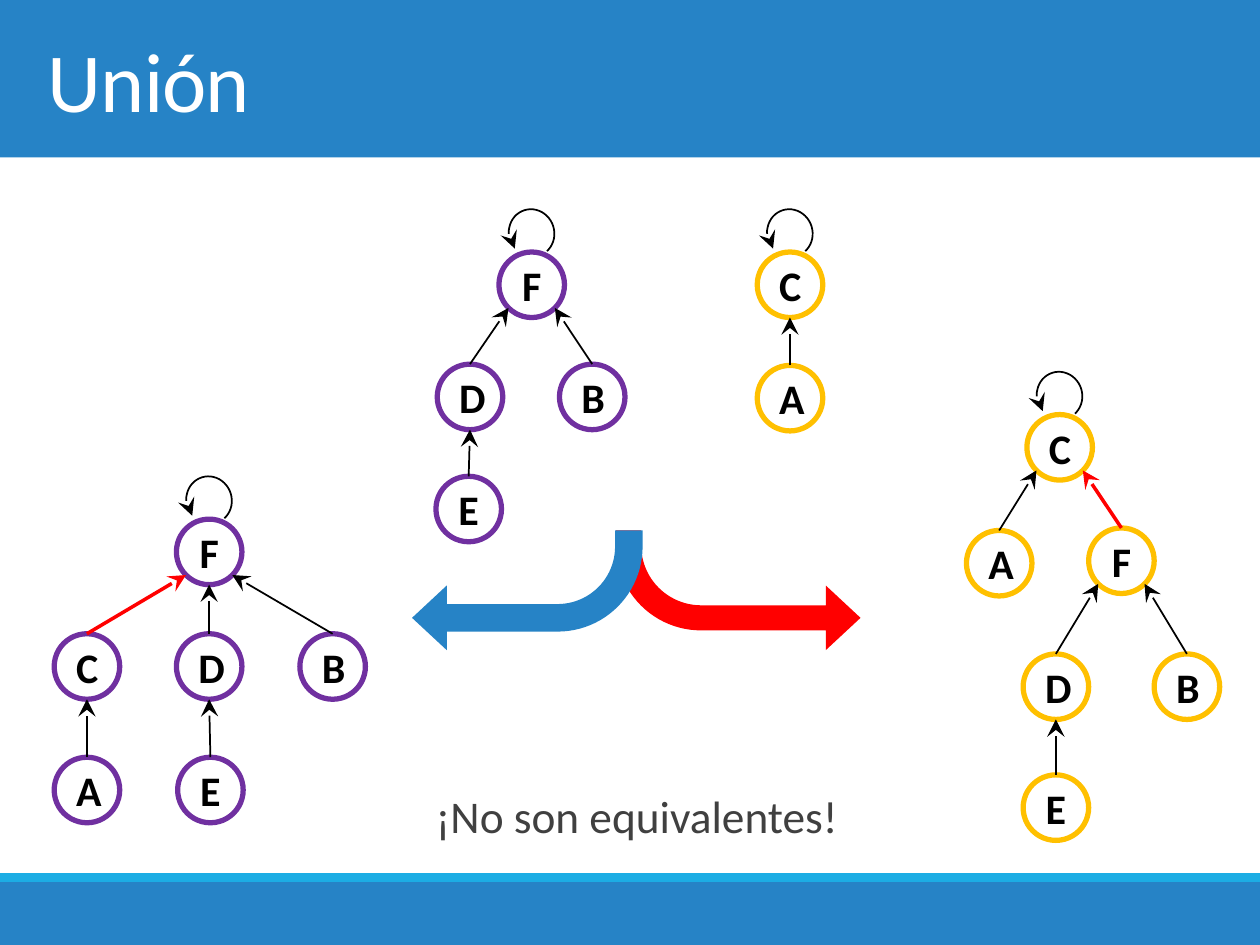
from math import sqrt

from lxml.etree import SubElement
from pptx import Presentation
from pptx.dml.color import RGBColor as RGB
from pptx.enum.shapes import MSO_CONNECTOR as LINE, MSO_SHAPE as SHAPE
from pptx.enum.text import MSO_ANCHOR as ANCHOR, PP_ALIGN as ALIGN
from pptx.oxml.ns import qn
from pptx.util import Inches, Pt

COLORS = {
    "blue": "2683C6", "cyan": "1CADE4", "purple": "7030A0", "gold": "FFC000",
    "red": "FF0000", "black": "000000", "white": "FFFFFF", "gray": "404040",
}
FORMATS = {
    "title": {"name": "Calibri", "size": Pt(48), "bold": False},
    "node": {"name": "Calibri", "size": Pt(24), "bold": True},
    "note": {"name": "Calibri", "size": Pt(25.9), "bold": False},
}
COLS, ROWS = 100, 75
NODE = 5.2
TREES = [
    ("purple", {
        "F": (16.6, 43.8, None), "C": (6.9, 52.9, "F"), "D": (16.6, 52.9, "F"),
        "B": (26.4, 52.9, "F"), "A": (6.9, 62.7, "C"), "E": (16.7, 62.7, "D"),
    }, "C"),
    ("purple", {
        "F": (42.2, 22.6, None), "D": (37.3, 31.5, "F"),
        "B": (47, 31.5, "F"), "E": (37.2, 40.4, "D"),
    }, None),
    ("gold", {"C": (62.7, 22.6, None), "A": (62.7, 31.6, "C")}, None),
    ("gold", {
        "C": (84.1, 35.5, None), "A": (79.3, 44.7, "C"), "F": (89, 44.5, "C"),
        "D": (83.8, 54.5, "F"), "B": (94.2, 54.5, "F"), "E": (83.8, 64.1, "D"),
    }, "F"),
]


class Deck:
    """Holds the style and the current slide, measured in columns and rows."""

    def __init__(self):
        self.prs = Presentation()
        self.prs.slide_width, self.prs.slide_height = Inches(10), Inches(7.5)
        self.slide = self.prs.slides.add_slide(self.prs.slide_layouts[5])

    def box(self, x, y, w, h):
        col, row = self.prs.slide_width / COLS, self.prs.slide_height / ROWS
        return [round(v) for v in (x * col, y * row, w * col, h * row)]

    def text(self, tf, words, style, color, align, anchor=ANCHOR.MIDDLE):
        tf.vertical_anchor = anchor
        p = tf.paragraphs[0]
        p.alignment = align
        r = p.add_run()
        r.text = words
        for key, value in FORMATS[style].items():
            setattr(r.font, key, value)
        r.font.color.rgb = RGB.from_string(COLORS[color])
        return p, r

    def stroke(self, s, color, width, arrow=None):
        s.line.color.rgb = RGB.from_string(COLORS[color])
        s.line.width = Pt(width)
        if arrow:
            ln = s.element.spPr.find(qn("a:ln"))
            SubElement(ln, qn(f"a:{arrow}End"), type="stealth", w="lg", len="lg")

    def shape(self, kind, box, fill=None, adjust=(), rotation=0):
        s = self.slide.shapes.add_shape(kind, *self.box(*box))
        s.shadow.inherit = False
        s.rotation = rotation
        for i, value in enumerate(adjust):
            s.adjustments[i] = value
        if fill:
            s.fill.solid()
            s.fill.fore_color.rgb = RGB.from_string(COLORS[fill])
        else:
            s.fill.background()
        s.line.fill.background()
        return s

    def title(self, words, box):
        s = self.slide.shapes.title
        s.left, s.top, s.width, s.height = self.box(*box)
        _, r = self.text(s.text_frame, words, "title", "white", ALIGN.LEFT)
        r._r.get_or_add_rPr().set("spc", "-50")
        self.slide.shapes.element.append(s.element)

    def note(self, words, box):
        tf = self.slide.shapes.add_textbox(*self.box(*box)).text_frame
        tf.word_wrap = True
        p, _ = self.text(tf, words, "note", "gray", ALIGN.CENTER, ANCHOR.TOP)
        p.line_spacing = 1.3
        p._p.get_or_add_pPr().set("marL", str(Inches(0.1)))

    def loop(self, x, y):
        s = self.shape(SHAPE.ARC, (x - 1.8, y - 6, 3.6, 3.8),
                       adjust=(92.66, 40.09), rotation=342.8)
        self.stroke(s, "black", 1, "head")

    def node(self, x, y, name, color):
        s = self.shape(SHAPE.OVAL, (x - NODE / 2, y - NODE / 2, NODE, NODE), "white")
        self.stroke(s, color, 3)
        self.text(s.text_frame, name, "node", "black", ALIGN.CENTER)
        return s

    def edge(self, child, start, end, hot):
        (x, y), (px, py) = start, end
        radius = NODE / 2
        if abs(x - px) < 0.5:
            tip = px, py + radius
        else:
            reach = radius / sqrt(2)
            tip = px + (reach if x > px else -reach), py + reach
        points = self.box(x, y - radius, *tip)
        s = self.slide.shapes.add_connector(LINE.STRAIGHT, *points)
        s.begin_connect(child, 0)
        self.stroke(s, "red" if hot else "black", 2 if hot else 1, "tail")
        SubElement(s.element.spPr, qn("a:effectLst"))

    def tree(self, color, nodes, moved):
        shapes = {}
        for name, (x, y, parent) in nodes.items():
            if parent is None:
                self.loop(x, y)
            shapes[name] = self.node(x, y, name, color)
        for name, (x, y, parent) in nodes.items():
            if parent:
                self.edge(shapes[name], (x, y), nodes[parent][:2], name == moved)

    def branch(self, box, fill, thickness, flip=False):
        s = self.shape(SHAPE.BENT_ARROW, box, fill,
                       (thickness, 0.27, 0.29, 0.71), 180)
        if flip:
            s.element.spPr.find(qn("a:xfrm")).set("flipH", "1")


def main():
    deck = Deck()
    for top, height, fill in ((0, 12.5, "blue"), (70, 5, "blue"), (69.3, 0.7, "cyan")):
        deck.shape(SHAPE.RECTANGLE, (0, top, COLS, height), fill)
    deck.title("Unión", (2.8, 0, 94.5, 12.5))
    for tree in TREES:
        deck.tree(*tree)
    deck.branch((48.9, 42.1, 19.4, 9.5), "red", 0.21, flip=True)
    deck.branch((32.7, 42.1, 18.3, 9.5), "blue", 0.23)
    deck.note("¡No son equivalentes!", (2.8, 60.8, 94.5, 6.9))
    deck.prs.save("out.pptx")


if __name__ == "__main__":
    main()
